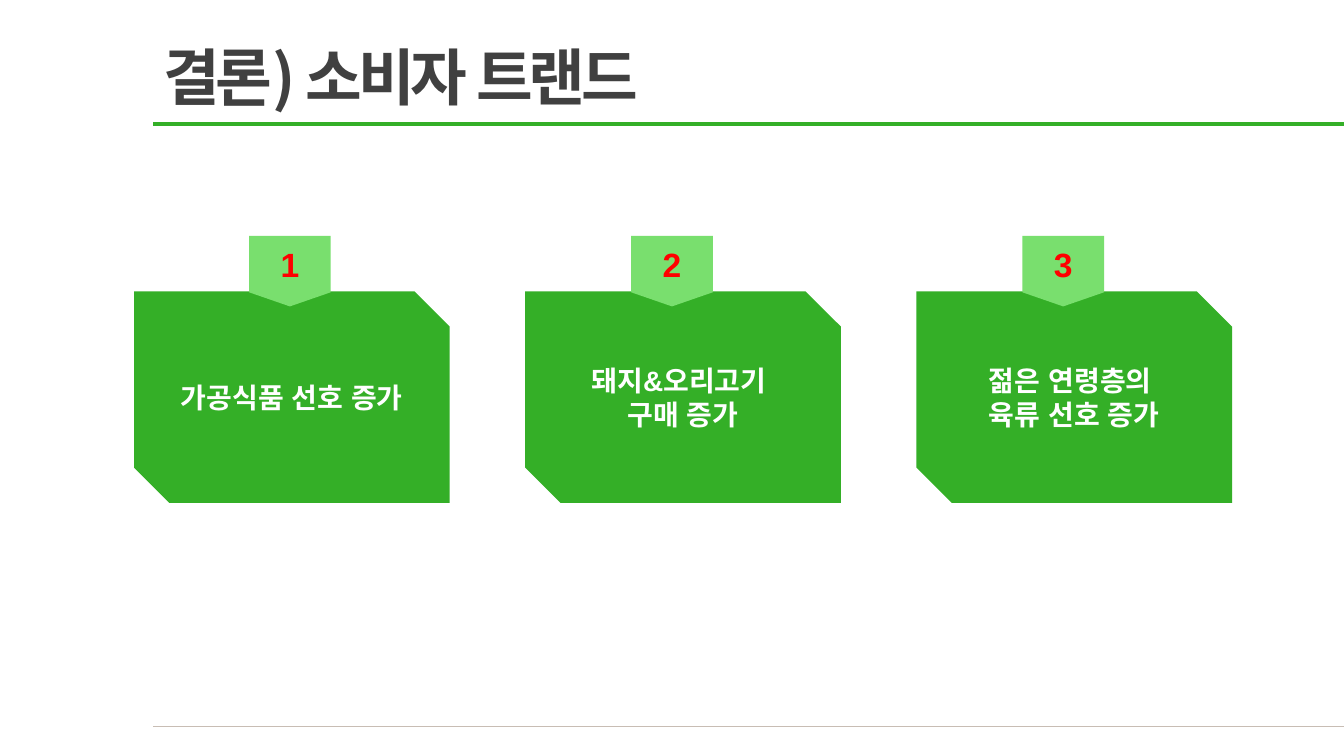
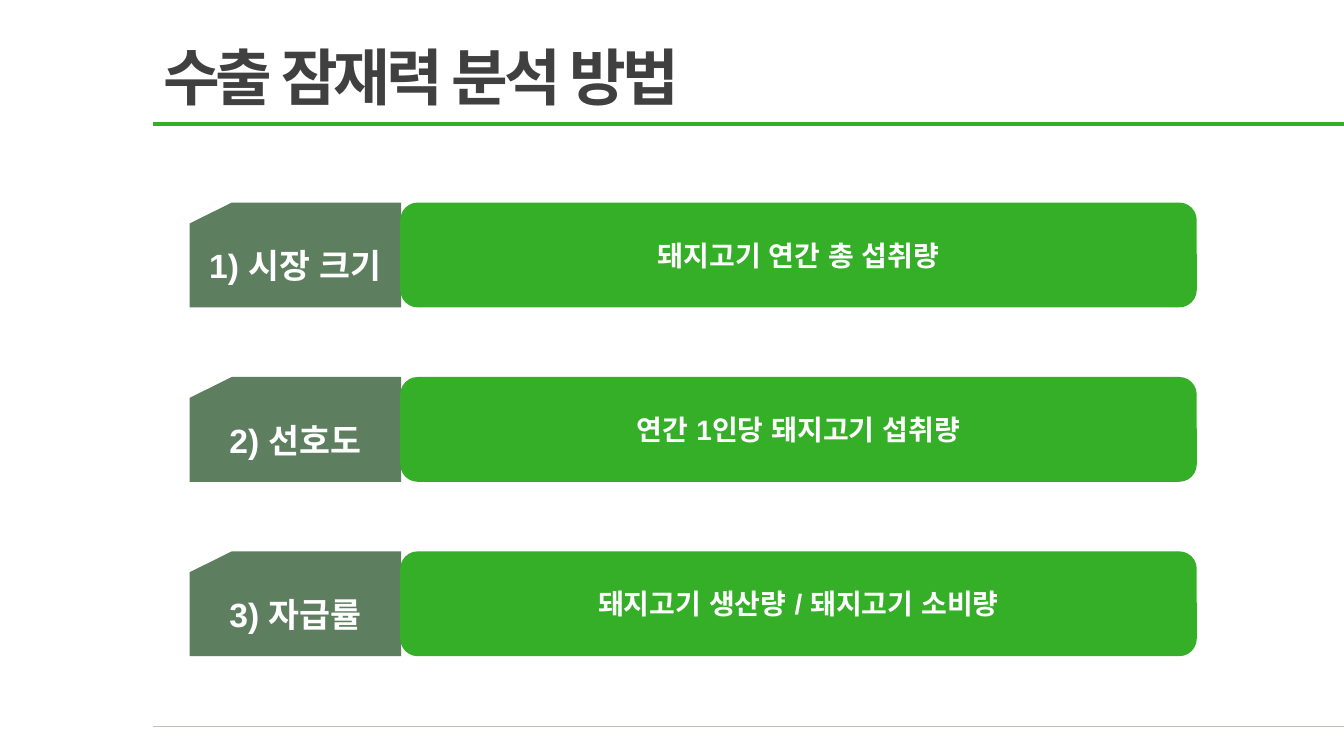
from dataclasses import dataclass

from lxml import etree
from pptx import Presentation
from pptx import util as u
from pptx.dml import color
from pptx.enum import lang, shapes, text
from pptx.oxml import ns

PX = 9144


@dataclass(frozen=True)
class Theme:
    green: str = "34AF27"
    light_green: str = "79DF6E"
    grey_green: str = "5D7F60"
    footer_rule: str = "C8BDB4"
    dark: str = "404040"
    white: str = "FFFFFF"
    red: str = "FF0000"
    latin_font: str = "Arial"
    korean_font: str = "Noto Sans CJK KR"
    title_size: int = 44
    label_size: int = 24
    body_size: int = 20


THEME = Theme()


def px(*lengths):
    return [u.Emu(length * PX) for length in lengths]


def rgb(value):
    return color.RGBColor.from_string(value)


def add_run(paragraph, words, size, ink, latin=THEME.latin_font):
    run = paragraph.add_run()
    run.text = words
    font = run.font
    font.size = u.Pt(size)
    font.bold = True
    font.color.rgb = rgb(ink)
    font.name = latin
    font.language_id = lang.MSO_LANGUAGE_ID.KOREAN
    properties = run._r.get_or_add_rPr()
    east_asian = etree.SubElement(properties, ns.qn("a:ea"))
    east_asian.set("typeface", THEME.korean_font)
    return properties


def add_rule(slide, top, ink, width):
    rule = slide.shapes.add_connector(
        shapes.MSO_CONNECTOR.STRAIGHT, *px(152, top, 1333, top))
    rule.line.color.rgb = rgb(ink)
    rule.line.width = u.Pt(width)
    etree.SubElement(rule._element.spPr, ns.qn("a:effectLst"))


def add_title(slide, words, width):
    box = slide.shapes.add_textbox(*px(152, 34, width, 84))
    frame = box.text_frame
    frame.word_wrap = False
    frame.auto_size = text.MSO_AUTO_SIZE.SHAPE_TO_FIT_TEXT
    properties = add_run(frame.paragraphs[0], words, THEME.title_size,
                         THEME.dark, THEME.korean_font)
    properties.set("spc", "-300")


def add_titled_slide(presentation, title, title_width):
    slide = presentation.slides.add_slide(presentation.slide_layouts[6])
    add_rule(slide, 721, THEME.footer_rule, 0.5)
    add_title(slide, title, title_width)
    add_rule(slide, 123, THEME.green, 2.25)
    return slide


def add_panel(slide, kind, bounds, fill, lines, size, ink=THEME.white):
    shape = slide.shapes.add_shape(kind, *px(*bounds))
    shape.shadow.inherit = False
    shape.fill.solid()
    shape.fill.fore_color.rgb = rgb(fill)
    shape.line.fill.background()
    frame = shape.text_frame
    frame.word_wrap = True
    frame.vertical_anchor = text.MSO_ANCHOR.MIDDLE
    for index, words in enumerate(lines):
        paragraph = frame.add_paragraph() if index else frame.paragraphs[0]
        paragraph.alignment = text.PP_ALIGN.CENTER
        add_run(paragraph, words, size, ink)


def add_trend_card(slide, index, lines, badge_left):
    add_panel(slide, shapes.MSO_SHAPE.SNIP_2_DIAG_RECTANGLE,
              (133 + 388 * index, 289, 313, 210),
              THEME.green, lines, THEME.body_size)
    add_panel(slide, shapes.MSO_SHAPE.FLOWCHART_OFFPAGE_CONNECTOR,
              (badge_left, 234, 81, 70),
              THEME.light_green, [str(index + 1)], THEME.label_size, THEME.red)


def add_method_row(slide, index, label, description):
    top = 201 + 173 * index
    add_panel(slide, shapes.MSO_SHAPE.FLOWCHART_CARD, (188, top, 210, 104),
              THEME.grey_green, [f"{index + 1}) {label}"], THEME.label_size)
    add_panel(slide, shapes.MSO_SHAPE.ROUNDED_RECTANGLE, (397, top, 790, 104),
              THEME.green, [description], THEME.body_size)


def build_trends(presentation):
    slide = add_titled_slide(presentation, "결론) 소비자 트랜드", 533)
    trends = [
        (["가공식품 선호 증가"], 247),
        (["돼지&오리고기 ", "구매 증가"], 626),
        (["젊은 연령층의 ", "육류 선호 증가"], 1014),
    ]
    for index, (lines, badge_left) in enumerate(trends):
        add_trend_card(slide, index, lines, badge_left)


def build_methods(presentation):
    slide = add_titled_slide(presentation, "수출 잠재력 분석 방법", 590)
    methods = [
        ("시장 크기", "돼지고기 연간 총 섭취량"),
        ("선호도", "연간 1인당 돼지고기 섭취량"),
        ("자급률", "돼지고기 생산량 / 돼지고기 소비량"),
    ]
    for index, (label, description) in enumerate(methods):
        add_method_row(slide, index, label, description)


def main():
    presentation = Presentation()
    presentation.slide_width, presentation.slide_height = px(1333, 750)
    build_trends(presentation)
    build_methods(presentation)
    presentation.save("out.pptx")


if __name__ == "__main__":
    main()
